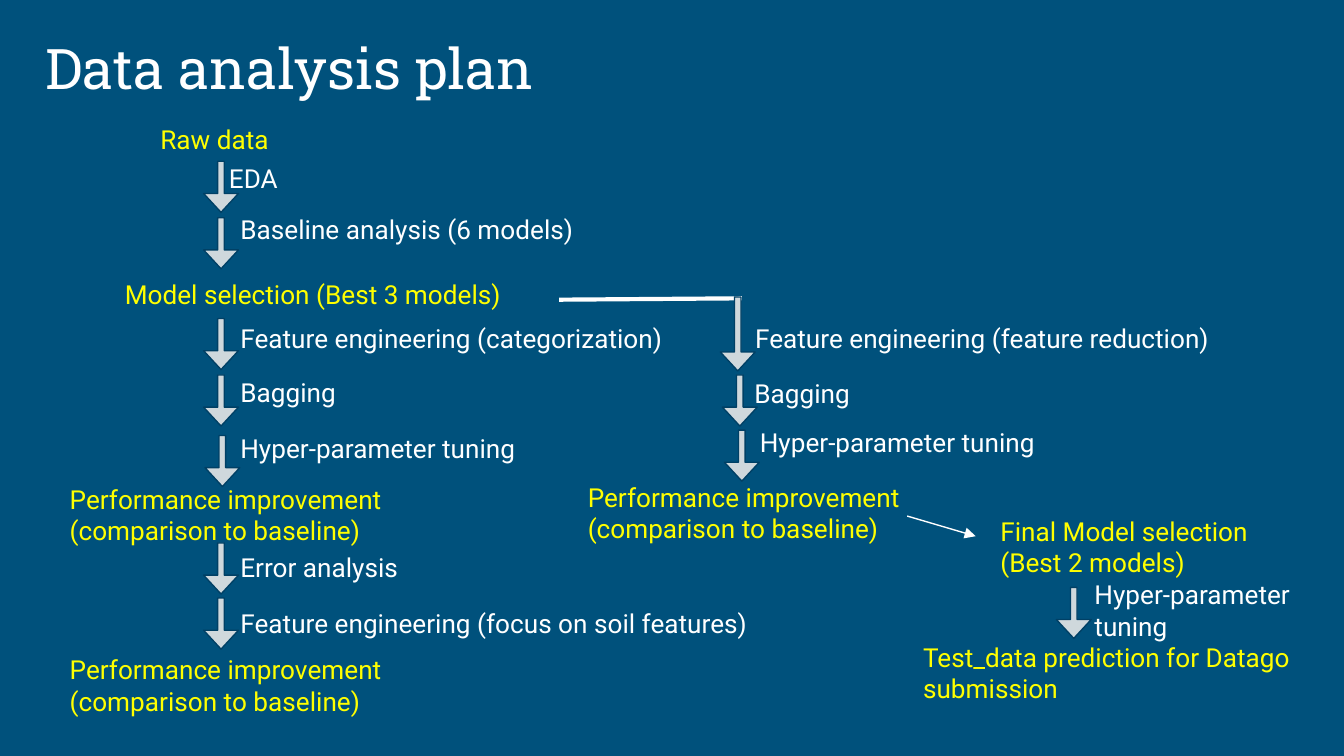
from dataclasses import dataclass

from lxml import etree
from pptx import Presentation
from pptx.dml.color import RGBColor
from pptx.enum.shapes import MSO_CONNECTOR, MSO_SHAPE
from pptx.enum.text import MSO_ANCHOR, MSO_AUTO_SIZE, PP_ALIGN
from pptx.oxml.ns import qn
from pptx.util import Pt

PX = 4572  # 200 px to the inch
DOWN_ARROW = MSO_SHAPE.DOWN_ARROW
STRAIGHT = MSO_CONNECTOR.STRAIGHT
LEFT = PP_ALIGN.LEFT
TOP, BOTTOM = MSO_ANCHOR.TOP, MSO_ANCHOR.BOTTOM
NO_AUTOFIT = MSO_AUTO_SIZE.NONE


@dataclass(frozen=True)
class Theme:
    background: RGBColor = RGBColor(0x00, 0x51, 0x7C)
    step: RGBColor = RGBColor(0xFF, 0xFF, 0xFF)
    milestone: RGBColor = RGBColor(0xFF, 0xFF, 0x00)
    arrow: RGBColor = RGBColor(0xCF, 0xD8, 0xDC)
    arrow_edge: RGBColor = RGBColor(0x00, 0x40, 0x65)
    title_font: str = "Roboto Slab"
    body_font: str = "Roboto"
    title_size: Pt = Pt(30)
    body_size: Pt = Pt(14)


theme = Theme()


def write_text(shape, text, font_name, size, color, anchor=TOP):
    frame = shape.text_frame
    frame.word_wrap = True
    frame.auto_size = NO_AUTOFIT
    frame.vertical_anchor = anchor
    frame.margin_left = frame.margin_right = 20 * PX
    frame.margin_top = frame.margin_bottom = 20 * PX
    paragraph = frame.paragraphs[0]
    paragraph.alignment = LEFT
    run = paragraph.add_run()
    run.text = text
    run.font.name = font_name
    run.font.size = size
    run.font.color.rgb = color


def add_line(shapes, start, end, width):
    """Draw a white line without a shadow between two points in px."""
    line = shapes.add_connector(STRAIGHT, *(value * PX for value in start + end))
    line.line.color.rgb = theme.step
    line.line.width = Pt(width)
    etree.SubElement(line._element.spPr, qn("a:effectLst"))
    return line


presentation = Presentation()
presentation.slide_width = 2000 * PX
presentation.slide_height = 1125 * PX
slide = presentation.slides.add_slide(presentation.slide_layouts[5])
slide.background.fill.solid()
slide.background.fill.fore_color.rgb = theme.background

title = slide.shapes.title
title.left, title.top, title.width, title.height = (
    value * PX for value in (48, 20, 1426, 150))
write_text(title, "Data analysis plan", theme.title_font, theme.title_size,
           theme.step, BOTTOM)

# The branch line lies beneath the arrow that continues it
add_line(slide.shapes, (832, 446), (1104, 444), 2.25)

# Block arrows: left, top, height
arrows = [(303, top, 76) for top in (240, 324, 474, 558, 808, 890)]
arrows += [
    (305, 648, 76),
    (1072, 442, 110),
    (1075, 558, 76),
    (1078, 640, 76),
    (1572, 874, 76),
]
for left, top, height in arrows:
    arrow = slide.shapes.add_shape(
        DOWN_ARROW, left * PX, top * PX, 52 * PX, height * PX)
    arrow.adjustments[0] = 0.19
    arrow.adjustments[1] = 0.54
    arrow.shadow.inherit = False
    arrow.fill.solid()
    arrow.fill.fore_color.rgb = theme.arrow
    arrow.line.color.rgb = theme.arrow_edge
    arrow.line.width = Pt(0.75)

# Labels: left, top, width, height, text
improvement = "Performance improvement (comparison to baseline)"
milestones = [
    (219, 164, 220, 76, "Raw data"),
    (166, 394, 656, 76, "Model selection (Best 3 models)"),
    (84, 699, 722, 76, improvement),
    (84, 953, 722, 76, improvement),
    (855, 696, 634, 110, improvement),
    (1469, 747, 472, 76, "Final Model selection (Best 2 models)"),
    (1354, 934, 634, 132, "Test_data prediction for Datago submission"),
]
steps = [
    (321, 222, 136, 76, "EDA"),
    (338, 298, 592, 76, "Baseline analysis (6 models)"),
    (338, 460, 880, 76, "Feature engineering (categorization)"),
    (338, 540, 592, 76, "Bagging"),
    (338, 624, 592, 76, "Hyper-parameter tuning"),
    (338, 801, 592, 76, "Error analysis"),
    (338, 884, 1010, 76, "Feature engineering (focus on soil features)"),
    (1104, 460, 808, 76, "Feature engineering (feature reduction)"),
    (1103, 542, 592, 76, "Bagging"),
    (1111, 615, 592, 76, "Hyper-parameter tuning"),
    (1609, 841, 358, 76, "Hyper-parameter tuning"),
]
for labels, color in ((milestones, theme.milestone), (steps, theme.step)):
    for left, top, width, height, text in labels:
        label = slide.shapes.add_textbox(
            left * PX, top * PX, width * PX, height * PX)
        write_text(label, text, theme.body_font, theme.body_size, color)

final_link = add_line(slide.shapes, (1350, 768), (1452, 798), 0.75)
etree.SubElement(final_link.line._get_or_add_ln(), qn("a:tailEnd"), type="triangle")

presentation.save("out.pptx")
